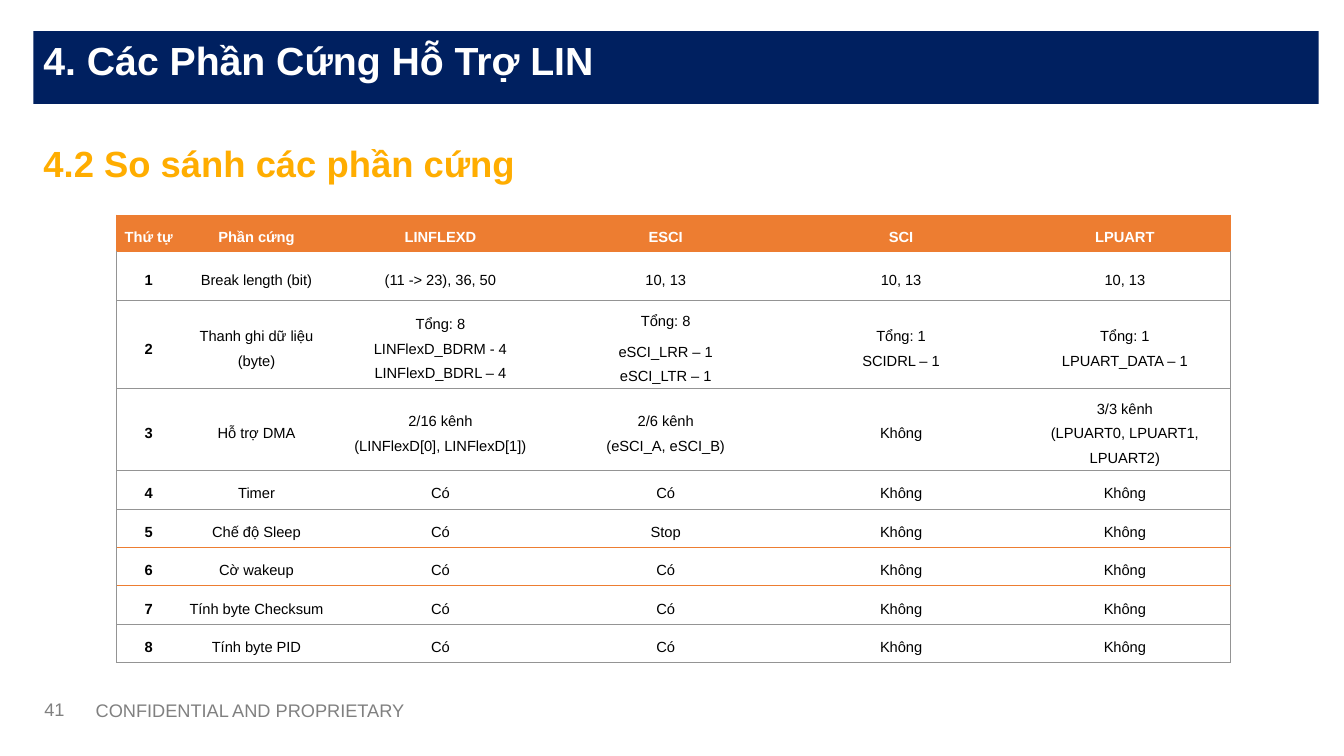
import dataclasses
import typing

import lxml.etree
import pptx
import pptx.dml.color
import pptx.enum.text
import pptx.oxml.ns
import pptx.util

Align = pptx.enum.text.PP_ALIGN
Anchor = pptx.enum.text.MSO_ANCHOR
qn = pptx.oxml.ns.qn
Pt = pptx.util.Pt
Inches = pptx.util.Inches


@dataclasses.dataclass(frozen=True)
class Theme:
    font: str = "Arial"
    navy: str = "002060"
    gold: str = "FFAD00"
    orange: str = "ED7D31"
    rule: str = "949494"
    gray: str = "808080"
    white: str = "FFFFFF"
    black: str = "000000"
    title: float = 28
    head: float = 26
    foot: float = 13
    cell: float = 10.5
    line: float = 0.75


class Box(typing.NamedTuple):
    left: float
    top: float
    width: float
    height: float


class Entry(typing.NamedTuple):
    text: str
    before: tuple = ()
    after: tuple = ()


class Note(typing.NamedTuple):
    text: str
    box: Box
    anchor: Anchor
    inset: tuple


THEME = Theme()
WIDE, HIGH = Inches(13.33), Inches(7.5)
BAR = Box(2.48, 4.13, 95.63, 9.6)
HEAD = Box(2.48, 16.27, 47.7, 9.6)
GRID = Box(8.7, 28.45, 82.88, 59.2)
INSET = (0.1, 0.05, 0.1, 0.05)
NOTES = [
    Note("CONFIDENTIAL AND PROPRIETARY", Box(6.38, 91.87, 29.85, 4.53), Anchor.TOP, INSET),
    Note("41", Box(2.78, 91.87, 4.88, 4), Anchor.MIDDLE, (0.07, 0.04, 0.07, 0.04)),
]
COLS = (0.63, 1.51, 2.14, 2.33, 2.34, 2.1)
ROWS = (0.36, 0.49, 0.87, 0.81) + (0.38,) * 5
BRIGHT = (0, 5, 6)
YES, NO = "Có", "Không"
DATA = [
    ("Thứ tự", "Phần cứng", "LINFLEXD", "ESCI", "SCI", "LPUART"),
    ("1", "Break length (bit)", "(11 -> 23), 36, 50", "10, 13", "10, 13", "10, 13"),
    ("2", "Thanh ghi dữ liệu (byte)",
     "Tổng: 8\nLINFlexD_BDRM - 4\nLINFlexD_BDRL – 4",
     Entry("Tổng: 8\neSCI_LRR – 1\neSCI_LTR – 1", (0, 5, 0), (0, 0, 5)),
     "Tổng: 1\nSCIDRL – 1", "Tổng: 1\nLPUART_DATA – 1"),
    ("3", "Hỗ trợ DMA", "2/16 kênh\n(LINFlexD[0], LINFlexD[1])",
     "2/6 kênh\n(eSCI_A, eSCI_B)", NO, "3/3 kênh\n(LPUART0, LPUART1, LPUART2)"),
    ("4", "Timer", YES, YES, NO, NO),
    ("5", "Chế độ Sleep", YES, "Stop", NO, NO),
    ("6", "Cờ wakeup", YES, YES, NO, NO),
    ("7", "Tính byte Checksum", YES, YES, NO, NO),
    ("8", "Tính byte PID", YES, YES, NO, NO),
]


def tint(code: str) -> pptx.dml.color.RGBColor:
    return pptx.dml.color.RGBColor.from_string(code)


def paint(fill, code: str) -> None:
    fill.solid()
    fill.fore_color.rgb = tint(code)


def scale(box: Box) -> tuple:
    sides = (WIDE, HIGH, WIDE, HIGH)
    return tuple(round(part * side / 100) for part, side in zip(box, sides))


def place(shape, box: Box) -> None:
    shape.left, shape.top, shape.width, shape.height = scale(box)


def write(frame, text: str, *, size: float, color: str, bold: bool = False,
          align: Align = Align.LEFT, space: float = 1.0,
          before: tuple = (), after: tuple = ()) -> None:
    for i, line in enumerate(text.split("\n")):
        para = frame.paragraphs[0] if i == 0 else frame.add_paragraph()
        props = para._p.get_or_add_pPr()
        props.set("marL", "0")
        props.set("indent", "0")
        lxml.etree.SubElement(props, qn("a:buNone"))
        para.alignment, para.line_spacing = align, space
        para.space_before = Pt(before[i] if before else 0)
        para.space_after = Pt(after[i] if after else 0)
        run = para.add_run()
        run.text = line
        font = run.font
        font.name, font.size, font.bold = THEME.font, Pt(size), bold
        font.color.rgb = tint(color)


def pad(frame, inset: tuple, anchor: Anchor) -> None:
    frame.word_wrap = True
    frame.auto_size = pptx.enum.text.MSO_AUTO_SIZE.NONE
    frame.vertical_anchor = anchor
    (frame.margin_left, frame.margin_top,
     frame.margin_right, frame.margin_bottom) = map(Inches, inset)


def edge(cell, sides: dict) -> None:
    props = cell._tc.get_or_add_tcPr()
    for side in "LRTB":
        if side in sides:
            line = lxml.etree.SubElement(props, qn("a:ln" + side), w=str(Pt(THEME.line)))
            fill = lxml.etree.SubElement(line, qn("a:solidFill"))
            lxml.etree.SubElement(fill, qn("a:srgbClr"), val=sides[side])


def shade(row: int) -> str:
    return THEME.orange if row in BRIGHT else THEME.rule


def draw_cell(cell, item: Entry, row: int, col: int) -> None:
    first = row == 0
    side = THEME.orange if first else THEME.rule
    sides = {"T": shade(max(row - 1, 0)), "B": shade(row)}
    if col == 0:
        sides["L"] = side
    if col == len(COLS) - 1:
        sides["R"] = side
    edge(cell, sides)
    paint(cell.fill, THEME.orange if first else THEME.white)
    cell.vertical_anchor = Anchor.MIDDLE
    cell.margin_left = cell.margin_right = Inches(0.07)
    cell.margin_top = cell.margin_bottom = 0
    write(cell.text_frame, item.text, size=THEME.cell,
          color=THEME.white if first else THEME.black, bold=first or col == 0,
          align=Align.CENTER, space=1.5, before=item.before, after=item.after)


def draw_table(slide) -> None:
    box = scale(GRID)
    table = slide.shapes.add_table(len(ROWS), len(COLS), *box).table
    table.first_row = table.horz_banding = False
    style = table._tbl.tblPr.find(qn("a:tableStyleId"))
    style.text = "{2D5ABB26-0587-4C30-8999-92F81FD0307C}"
    for col, share in zip(table.columns, COLS):
        col.width = round(box[2] * share / sum(COLS))
    for row, share in zip(table.rows, ROWS):
        row.height = round(box[3] * share / sum(ROWS))
    for r, line in enumerate(DATA):
        for c, item in enumerate(line):
            entry = item if isinstance(item, Entry) else Entry(item)
            draw_cell(table.cell(r, c), entry, r, c)


def main() -> None:
    deck = pptx.Presentation()
    deck.slide_width, deck.slide_height = WIDE, HIGH
    slide = deck.slides.add_slide(deck.slide_layouts[1])
    title, body = slide.placeholders

    place(title, BAR)
    paint(title.fill, THEME.navy)
    pad(title.text_frame, INSET, Anchor.TOP)
    write(title.text_frame, "4. Các Phần Cứng Hỗ Trợ LIN",
          size=THEME.title, color=THEME.white, bold=True)

    place(body, HEAD)
    pad(body.text_frame, (0.1, 0.12, 0.1, 0.05), Anchor.MIDDLE)
    write(body.text_frame, "4.2 So sánh các phần cứng",
          size=THEME.head, color=THEME.gold, bold=True)

    draw_table(slide)
    for note in NOTES:
        frame = slide.shapes.add_textbox(*scale(note.box)).text_frame
        pad(frame, note.inset, note.anchor)
        write(frame, note.text, size=THEME.foot, color=THEME.gray)
    deck.save("out.pptx")


if __name__ == "__main__":
    main()
